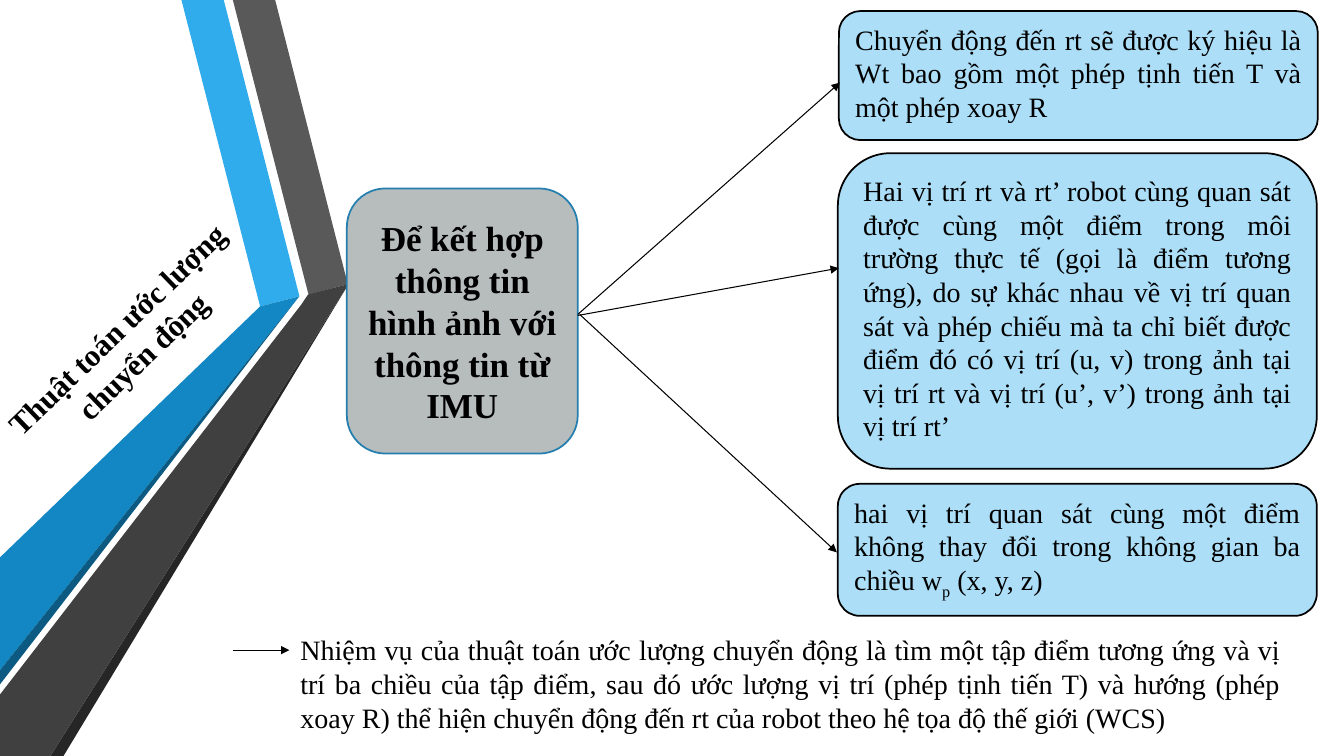
from dataclasses import dataclass

from lxml import etree
from pptx import Presentation
from pptx import util as u
from pptx.dml.color import RGBColor
from pptx.enum import shapes, text
from pptx.oxml import ns

PX = 9144
FONT = "Times New Roman"
BLACK = RGBColor(0x00, 0x00, 0x00)
SKY = RGBColor(0x30, 0xAC, 0xEC)
BLUE = RGBColor(0x12, 0x87, 0xC3)
NAVY = RGBColor(0x0C, 0x5A, 0x82)
GREY = RGBColor(0x59, 0x59, 0x59)
DARK = RGBColor(0x40, 0x40, 0x40)
SHADE = RGBColor(0x26, 0x26, 0x26)
TOPIC_FILL = RGBColor(0xB7, 0xBC, 0xBD)
TOPIC_LINE = RGBColor(0x24, 0x7F, 0xAF)
CARD_FILL = RGBColor(0xAC, 0xDE, 0xF7)

CENTER, JUSTIFY = text.PP_ALIGN.CENTER, text.PP_ALIGN.JUSTIFY
MIDDLE, TOP = text.MSO_ANCHOR.MIDDLE, text.MSO_ANCHOR.TOP


@dataclass
class Ribbon:
    color: RGBColor
    points: list[tuple[int, int]]


@dataclass
class Block:
    box: tuple[int, int, int, int]
    runs: list[str]
    size: int = 20
    bold: bool = False
    align: text.PP_ALIGN = JUSTIFY
    anchor: text.MSO_ANCHOR = TOP
    fill: RGBColor | None = None
    line: RGBColor = BLACK
    rotation: int = 0


@dataclass
class Arrow:
    start: tuple[int, int]
    end: tuple[int, int]


RIBBONS = [
    Ribbon(SKY, [(297, 294), (258, 304), (180, 0), (222, 0)]),
    Ribbon(GREY, [(306, 292), (231, 0), (273, 0), (345, 282), (307, 292)]),
    Ribbon(SHADE, [(345, 283), (63, 750), (50, 750)]),
    Ribbon(BLUE, [(297, 294), (296, 295), (0, 665), (0, 553), (258, 304)]),
    Ribbon(DARK, [(345, 282), (345, 283), (50, 750), (0, 750), (0, 689),
                  (299, 302), (305, 293), (306, 292)]),
    Ribbon(NAVY, [(296, 295), (0, 679), (0, 665)]),
]

BLOCKS = [
    Block((-50, 288, 356, 103), ["Thuật toán ước lượng chuyển động"],
          size=22, bold=True, align=CENTER, anchor=MIDDLE, rotation=316),
    Block((344, 187, 229, 263),
          ["Để kết hợp thông tin hình ảnh với thông tin từ IMU"],
          size=25, bold=True, align=CENTER, anchor=MIDDLE,
          fill=TOPIC_FILL, line=TOPIC_LINE),
    Block((832, 11, 475, 128),
          ["Chuyển động đến rt sẽ được ký hiệu là Wt bao gồm một phép tịnh "
           "tiến T và một phép xoay R"], fill=CARD_FILL),
    Block((831, 152, 475, 313),
          ["Hai vị trí rt và rt’ robot cùng quan sát được cùng một điểm trong "
           "môi trường thực tế (gọi là điểm tương ứng), do sự khác nhau về vị "
           "trí quan sát và phép chiếu mà ta chỉ biết được điểm đó có vị trí "
           "(u, v) trong ảnh tại vị trí rt và vị trí (u’, v’) trong ảnh tại "
           "vị trí rt’"], fill=CARD_FILL),
    Block((831, 480, 475, 131),
          ["hai vị trí quan sát cùng một điểm không thay đổi trong không gian "
           "ba chiều w", "p", " (x, y, z)"], fill=CARD_FILL),
    Block((288, 623, 992, 111),
          ["Nhiệm vụ của thuật toán ước lượng chuyển động là tìm một tập điểm "
           "tương ứng và vị trí ba chiều của tập điểm, sau đó ước lượng vị trí "
           "(phép tịnh tiến T) và hướng (phép xoay R) thể hiện chuyển động đến "
           "rt của robot theo hệ tọa độ thế giới (WCS)"]),
]

ARROWS = [
    Arrow((573, 312), (833, 82)),
    Arrow((573, 313), (832, 266)),
    Arrow((575, 312), (830, 548)),
    Arrow((231, 645), (287, 645)),
]


def px(*lengths: int) -> list[u.Emu]:
    return [u.Emu(n * PX) for n in lengths]


def set_all(target, values: dict) -> None:
    for name, value in values.items():
        setattr(target, name, value)


def draw_ribbon(s, ribbon: Ribbon) -> None:
    first, *rest = ribbon.points
    builder = s.shapes.build_freeform(*first, scale=PX)
    builder.add_line_segments(rest, close=True)
    sp = builder.convert_to_shape()
    sp.shadow.inherit = False
    sp.fill.solid()
    sp.fill.fore_color.rgb = ribbon.color
    sp.line.fill.background()


def draw_block(s, block: Block) -> None:
    if block.fill is None:
        sp = s.shapes.add_textbox(*px(*block.box))
    else:
        sp = s.shapes.add_shape(shapes.MSO_SHAPE.ROUNDED_RECTANGLE, *px(*block.box))
        sp.shadow.inherit = False
        sp.fill.solid()
        sp.fill.fore_color.rgb = block.fill
        sp.line.color.rgb = block.line
        sp.line.width = u.Pt(1.25)
    sp.rotation = block.rotation
    tf = sp.text_frame
    set_all(tf, {"word_wrap": True, "vertical_anchor": block.anchor})
    p = tf.paragraphs[0]
    p.alignment = block.align
    for i, words in enumerate(block.runs):
        r = p.add_run()
        r.text = words
        set_all(r.font, {"name": FONT, "size": u.Pt(block.size), "bold": block.bold})
        r.font.color.rgb = BLACK
        if i == 1:
            r._r.get_or_add_rPr().set("baseline", "-25000")


def draw_arrow(s, arrow: Arrow) -> None:
    line = s.shapes.add_connector(
        shapes.MSO_CONNECTOR.STRAIGHT, *px(*arrow.start, *arrow.end))
    line.line.color.rgb = BLACK
    line.line.width = u.Pt(0.75)
    etree.SubElement(line.line._get_or_add_ln(), ns.qn("a:tailEnd"), type="triangle")
    etree.SubElement(line._element.spPr, ns.qn("a:effectLst"))


def main() -> None:
    prs = Presentation()
    set_all(prs, {"slide_width": u.Inches(13.33), "slide_height": u.Inches(7.5)})
    s = prs.slides.add_slide(prs.slide_layouts[6])
    for items, draw in ((RIBBONS, draw_ribbon), (BLOCKS, draw_block),
                        (ARROWS, draw_arrow)):
        for item in items:
            draw(s, item)
    prs.save("out.pptx")


if __name__ == "__main__":
    main()
